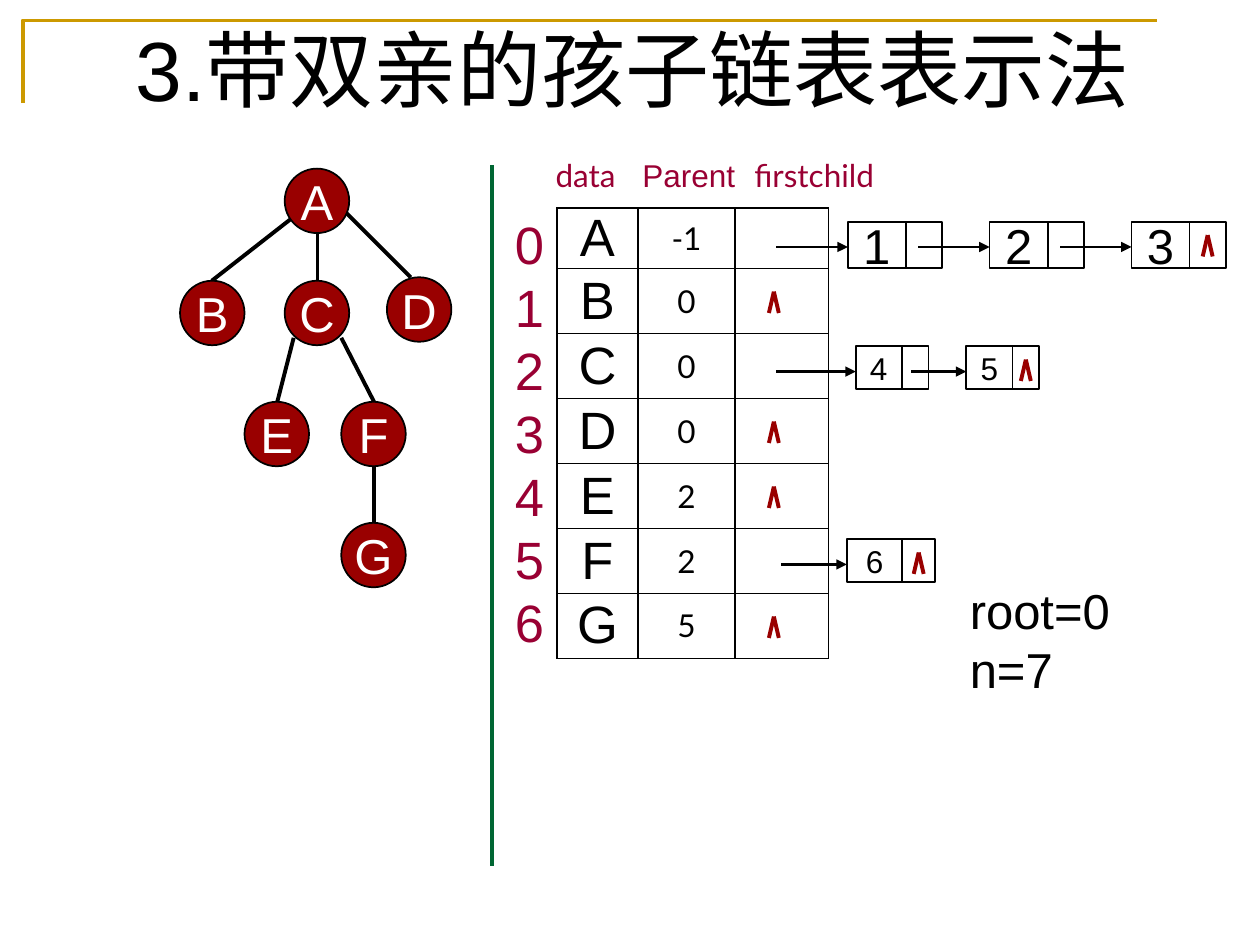
from typing import NamedTuple

from lxml import etree
from pptx import Presentation
from pptx.dml.color import RGBColor
from pptx.enum.shapes import MSO_CONNECTOR, MSO_SHAPE
from pptx.enum.text import MSO_ANCHOR, PP_ALIGN
from pptx.oxml.ns import qn
from pptx.util import Cm, Pt

STRAIGHT = MSO_CONNECTOR.STRAIGHT
OVAL, RECTANGLE = MSO_SHAPE.OVAL, MSO_SHAPE.RECTANGLE
TOP, MIDDLE = MSO_ANCHOR.TOP, MSO_ANCHOR.MIDDLE
LEFT, CENTER = PP_ALIGN.LEFT, PP_ALIGN.CENTER

BLACK, WHITE, RED, CRIMSON = "000000", "FFFFFF", "990000", "990033"
GREEN, GOLD = "006633", "CC9900"
NODE_SIZE = 1.3
TABLE_LEFT, TABLE_TOP = 11.23, 4.19
COLUMN_WIDTHS = (1.63, 1.96, 1.88)
FIRST_ROW, OTHER_ROWS = 1.22, 1.31


class TreeNode(NamedTuple):
    label: str
    left: float
    top: float


class Edge(NamedTuple):
    x1: float
    y1: float
    x2: float
    y2: float


class Label(NamedTuple):
    text: str
    left: float
    top: float
    width: float
    height: float
    size: float
    font: str
    color: str


class ChildList(NamedTuple):
    """Linked list of children: cell geometry and the first arrow's start."""
    children: tuple
    left: float
    top: float
    width: float
    height: float
    divider: float
    step: float
    arrow_start: float
    next_offset: float
    size: float


TREE_NODES = (
    TreeNode("A", 5.74, 3.4), TreeNode("B", 3.63, 5.66), TreeNode("C", 5.74, 5.66),
    TreeNode("D", 7.8, 5.59), TreeNode("E", 4.93, 8.1), TreeNode("F", 6.88, 8.1),
    TreeNode("G", 6.88, 10.54),
)
EDGES = (
    Edge(6.98, 4.29, 8.28, 5.59), Edge(5.92, 4.37, 4.27, 5.66),
    Edge(6.4, 4.7, 6.4, 5.66), Edge(5.92, 6.81, 5.59, 8.1),
    Edge(6.88, 6.81, 7.54, 8.1), Edge(7.54, 9.4, 7.54, 10.54),
)
PARENTS = (("A", "-1"), ("B", "0"), ("C", "0"), ("D", "0"),
           ("E", "2"), ("F", "2"), ("G", "5"))
LEAF_ROWS = (1, 3, 4, 6)
LABELS = (
    Label("data", 10.95, 3.02, 2.79, 1.02, 18, "Lato", CRIMSON),
    Label("Parent", 12.7, 3.02, 3.12, 1.02, 18, "Arial", CRIMSON),
    Label("firstchild", 14.96, 3.02, 3.81, 1.02, 18, "Lato", CRIMSON),
    Label("0\n1\n2\n3\n4\n5\n6", 10.13, 4.14, 1.1, 9.14, 30, "Arial", CRIMSON),
    Label("root=0\nn=7", 19.3, 11.58, 3.6, 2.64, 28, "Arial", BLACK),
)
CHILD_LISTS = (
    ChildList(("1", "2", "3"), 17.09, 4.47, 1.9, 0.94, 1.17, 2.86, 15.65, 1.42, 28),
    ChildList(("4", "5"), 17.25, 6.98, 1.47, 0.86, 0.93, 2.23, 15.65, 1.12, 18),
    ChildList(("6",), 17.07, 10.87, 1.78, 0.86, 1.12, 0, 15.75, 0, 18),
)


def rgb(color: str) -> RGBColor:
    return RGBColor.from_string(color)


def format_text(frame, size: float, font: str, color: str, align=LEFT) -> None:
    for paragraph in frame.paragraphs:
        paragraph.alignment = align
        paragraph.font.size = Pt(size)
        paragraph.font.name = font
        paragraph.font.color.rgb = rgb(color)


def draw_line(slide, edge: Edge, color: str, width: float, arrow: bool = False) -> None:
    connector = slide.shapes.add_connector(STRAIGHT, *(Cm(value) for value in edge))
    connector.line.color.rgb = rgb(color)
    connector.line.width = Pt(width)
    if arrow:
        etree.SubElement(connector.line._get_or_add_ln(), qn("a:tailEnd"), type="triangle")
    etree.SubElement(connector._element.spPr, qn("a:effectLst"))


def draw_null(slide, x: float, y: float) -> None:
    for offset in (-0.1, 0.1):
        draw_line(slide, Edge(x, y, x + offset, y + 0.43), RED, 2.25)


def draw_box(slide, kind, text: str, left: float, top: float, width: float,
             height: float, size: float, color: str, fill: str = "",
             right_margin: float = 0) -> None:
    shape = slide.shapes.add_shape(kind, Cm(left), Cm(top), Cm(width), Cm(height))
    shape.shadow.inherit = False
    if fill:
        shape.fill.solid()
        shape.fill.fore_color.rgb = rgb(fill)
    else:
        shape.fill.background()
    shape.line.color.rgb = rgb(BLACK)
    shape.line.width = Pt(1)
    frame = shape.text_frame
    frame.margin_left = frame.margin_top = frame.margin_bottom = 0
    frame.margin_right = Cm(right_margin)
    frame.vertical_anchor = MIDDLE
    frame.text = text
    format_text(frame, size, "Arial", color, CENTER)


def draw_label(slide, label: Label) -> None:
    box = slide.shapes.add_textbox(Cm(label.left), Cm(label.top),
                                   Cm(label.width), Cm(label.height))
    box.text_frame.word_wrap = True
    box.text_frame.text = label.text
    format_text(box.text_frame, label.size, label.font, label.color)


def draw_child_list(slide, chain: ChildList) -> None:
    arrow_y = chain.top + 0.51
    start = chain.arrow_start
    for index, child in enumerate(chain.children):
        left = chain.left + index * chain.step
        draw_box(slide, RECTANGLE, child, left, chain.top, chain.width, chain.height,
                 chain.size, BLACK, right_margin=chain.width - chain.divider)
        divider = left + chain.divider
        draw_line(slide, Edge(divider, chain.top, divider, chain.top + chain.height), BLACK, 1)
        draw_line(slide, Edge(start, arrow_y, left, arrow_y), BLACK, 1.5, arrow=True)
        start = left + chain.next_offset
    draw_null(slide, left + (chain.divider + chain.width) / 2, chain.top + 0.27)


def format_cell(cell, text: str, size: float, font: str) -> None:
    cell.margin_left = cell.margin_right = cell.margin_top = cell.margin_bottom = 0
    cell.vertical_anchor = MIDDLE
    cell.text = text
    format_text(cell.text_frame, size, font, BLACK, CENTER)
    properties = cell._tc.get_or_add_tcPr()
    for side in ("a:lnL", "a:lnR", "a:lnT", "a:lnB"):
        border = etree.SubElement(properties, qn(side), w=str(Pt(1)))
        fill = etree.SubElement(border, qn("a:solidFill"))
        etree.SubElement(fill, qn("a:srgbClr"), val=BLACK)
    cell.fill.background()


def draw_parent_table(slide) -> None:
    heights = [FIRST_ROW] + [OTHER_ROWS] * (len(PARENTS) - 1)
    table = slide.shapes.add_table(
        len(PARENTS), len(COLUMN_WIDTHS), Cm(TABLE_LEFT), Cm(TABLE_TOP),
        Cm(sum(COLUMN_WIDTHS)), Cm(sum(heights))).table
    table.first_row = table.horz_banding = False
    for column, width in zip(table.columns, COLUMN_WIDTHS):
        column.width = Cm(width)
    for row, height, (data, parent) in zip(table.rows, heights, PARENTS):
        row.height = Cm(height)
        data_cell, parent_cell, child_cell = row.cells
        format_cell(data_cell, data, 30, "Arial")
        format_cell(parent_cell, parent, 18, "Lato")
        format_cell(child_cell, "", 18, "Lato")
    for index in LEAF_ROWS:
        draw_null(slide, 15.6, TABLE_TOP + sum(heights[:index]) + 0.47)


def draw_title(slide) -> None:
    # Corner rule
    builder = slide.shapes.build_freeform(Cm(0.46), Cm(2.08))
    builder.add_line_segments([(Cm(0.46), Cm(0.41)), (Cm(23.32), Cm(0.41))], close=False)
    corner = builder.convert_to_shape()
    corner.shadow.inherit = False
    corner.fill.background()
    corner.line.color.rgb = rgb(GOLD)
    corner.line.width = Pt(2)
    # Heading
    title = slide.shapes.title
    title.left, title.top, title.width, title.height = Cm(1.83), Cm(-0.28), Cm(21.84), Cm(2.79)
    title.text_frame.text = "3.带双亲的孩子链表表示法"
    title.text_frame.vertical_anchor = TOP
    title.text_frame.paragraphs[0].line_spacing = 1.25
    format_text(title.text_frame, 48, "Arial", BLACK, CENTER)


def main() -> None:
    presentation = Presentation()
    presentation.slide_width, presentation.slide_height = Cm(25.4), Cm(19.05)
    slide = presentation.slides.add_slide(presentation.slide_layouts[5])
    draw_title(slide)

    # Tree
    for edge in EDGES:
        draw_line(slide, edge, BLACK, 2.25)
    for node in TREE_NODES:
        draw_box(slide, OVAL, node.label, node.left, node.top, NODE_SIZE, NODE_SIZE,
                 28, WHITE, RED)

    # Separator, parent table and child lists
    draw_line(slide, Edge(9.91, 3.33, 9.91, 17.45), GREEN, 2.25)
    draw_parent_table(slide)
    for chain in CHILD_LISTS:
        draw_child_list(slide, chain)
    for label in LABELS:
        draw_label(slide, label)
    presentation.save("out.pptx")


if __name__ == "__main__":
    main()
